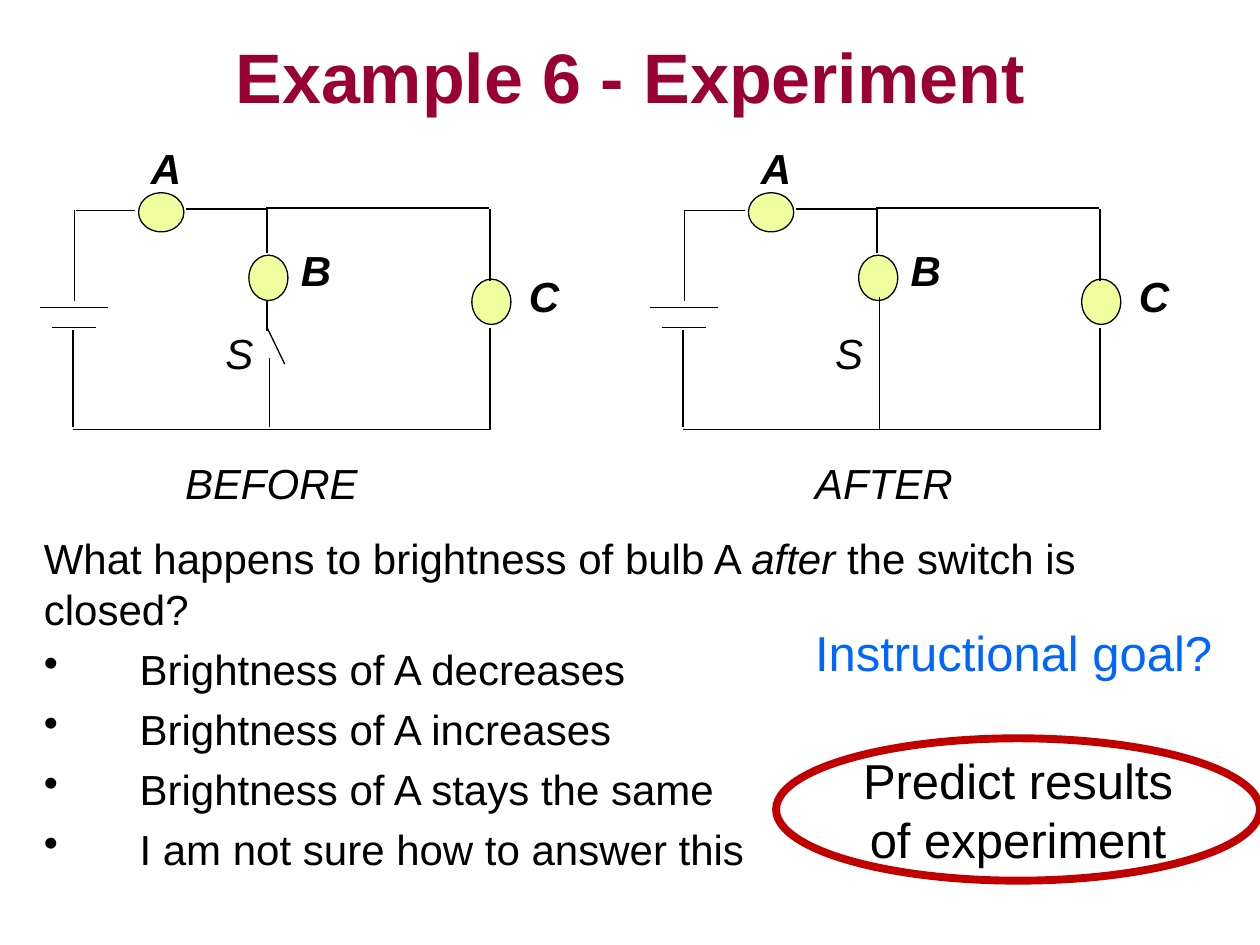
from dataclasses import dataclass

from lxml import etree
from pptx import Presentation
from pptx.dml.color import RGBColor
from pptx.enum.shapes import MSO_CONNECTOR, MSO_SHAPE
from pptx.enum.text import MSO_ANCHOR, PP_ALIGN
from pptx.oxml.ns import qn
from pptx.util import Inches, Pt

STRAIGHT = MSO_CONNECTOR.STRAIGHT
ELLIPSE = MSO_SHAPE.OVAL
TOP, MIDDLE = MSO_ANCHOR.TOP, MSO_ANCHOR.MIDDLE
LEFT, CENTER = PP_ALIGN.LEFT, PP_ALIGN.CENTER
BLACK, MAROON, BLUE, RED, YELLOW = "000000", "990033", "0066FF", "C00000", "F1FEA0"
AFTER_OFFSET = 4.84


@dataclass
class Wire:
    x1: float
    y1: float
    x2: float
    y2: float


@dataclass
class Bulb:
    x: float
    y: float
    rotation: int = 0


@dataclass
class Label:
    text: str
    x: float
    y: float
    w: float = 0.64
    bold: bool = True


SHARED_WIRES = [
    Wire(0.59, 1.67, 0.59, 2.39),
    Wire(0.58, 3.41, 3.89, 3.41),
    Wire(0.6, 1.67, 1.07, 1.67),
    Wire(1.48, 1.66, 2.12, 1.66),
    Wire(2.12, 2.01, 2.12, 1.64),
    Wire(3.89, 3.41, 3.89, 2.6),
    Wire(3.89, 2.23, 3.89, 1.66),
    Wire(2.12, 1.65, 3.88, 1.65),
    Wire(0.32, 2.44, 0.86, 2.44),
    Wire(0.41, 2.6, 0.76, 2.6),
    Wire(0.58, 2.62, 0.58, 3.39),
]
OPEN_SWITCH = [
    Wire(2.14, 3.39, 2.14, 2.84),
    Wire(2.12, 2.63, 2.12, 2.39),
    Wire(2.12, 2.6, 2.26, 2.89),
]
CLOSED_SWITCH = [Wire(2.14, 3.41, 2.14, 2.36)]
BULBS = [Bulb(1.1, 1.53), Bulb(1.95, 2.05, 270), Bulb(3.72, 2.24, 270)]
LABELS = [
    Label("A", 1.1, 1.08),
    Label("B", 2.29, 1.89),
    Label("C", 4.1, 2.1),
    Label("S", 1.69, 2.55, bold=False),
]
ANSWERS = [
    "Brightness of A decreases",
    "Brightness of A increases",
    "Brightness of A stays the same",
    "I am not sure how to answer this",
]


def rgb(color: str) -> RGBColor:
    return RGBColor.from_string(color)


def add_run(p, text: str, size: float = 24, color: str = BLACK, **formats) -> None:
    r = p.add_run()
    r.text = text
    values = {"name": "Arial", "size": Pt(size), **formats}
    for name, value in values.items():
        setattr(r.font, name, value)
    r.font.color.rgb = rgb(color)


def add_frame(s, x: float, y: float, w: float, h: float, anchor=TOP):
    tf = s.shapes.add_textbox(Inches(x), Inches(y), Inches(w), Inches(h)).text_frame
    tf.word_wrap = True
    tf.vertical_anchor = anchor
    return tf


def add_text(s, text: str, x: float, y: float, w: float, h: float = 0.5,
             align=LEFT, anchor=TOP, **formats) -> None:
    p = add_frame(s, x, y, w, h, anchor).paragraphs[0]
    p.alignment = align
    add_run(p, text, **formats)


def add_ellipse(s, x: float, y: float, w: float, h: float, line: str, weight: float):
    sp = s.shapes.add_shape(ELLIPSE, Inches(x), Inches(y), Inches(w), Inches(h))
    sp.shadow.inherit = False
    sp.line.color.rgb = rgb(line)
    sp.line.width = Pt(weight)
    return sp


def add_wire(s, wire: Wire, dx: float) -> None:
    sp = s.shapes.add_connector(STRAIGHT, Inches(wire.x1 + dx), Inches(wire.y1),
                                Inches(wire.x2 + dx), Inches(wire.y2))
    sp.line.color.rgb = rgb(BLACK)
    sp.line.width = Pt(0.75)
    etree.SubElement(sp._element.spPr, qn("a:effectLst"))


def add_bulb(s, bulb: Bulb, dx: float) -> None:
    sp = add_ellipse(s, bulb.x + dx, bulb.y, 0.36, 0.31, BLACK, 0.75)
    sp.rotation = bulb.rotation
    sp.fill.solid()
    sp.fill.fore_color.rgb = rgb(YELLOW)


def add_circuit(s, dx: float, switch: list[Wire], caption: Label) -> None:
    for bulb in BULBS:
        add_bulb(s, bulb, dx)
    for wire in SHARED_WIRES + switch:
        add_wire(s, wire, dx)
    for label in LABELS + [caption]:
        add_text(s, label.text, label.x + dx, label.y, label.w,
                 bold=label.bold, italic=True)


def add_paragraph(tf, first: bool = False, indent: float = 0.67, before: float = 5.5):
    p = tf.paragraphs[0] if first else tf.add_paragraph()
    p.space_before = Pt(before)
    pPr = p._p.get_or_add_pPr()
    pPr.set("marL", str(Inches(indent)))
    pPr.set("indent", str(-Inches(indent)))
    return p


def add_question(s) -> None:
    tf = add_frame(s, 0.25, 4.18, 9.64, 2.9)
    p = add_paragraph(tf, first=True)
    add_run(p, "What happens to brightness of bulb A ")
    add_run(p, "after ", italic=True)
    add_run(p, "the switch is")
    add_run(add_paragraph(tf, before=0), "closed?")
    for answer in ANSWERS:
        p = add_paragraph(tf, indent=0.76)
        etree.SubElement(p._p.get_or_add_pPr(), qn("a:buChar"), char="•")
        add_run(p, answer)


def add_goal(s) -> None:
    sp = add_ellipse(s, 6.16, 5.86, 3.84, 1.13, RED, 4.5)
    sp.fill.background()
    tf = sp.text_frame
    tf.word_wrap = True
    tf.vertical_anchor = MIDDLE
    p = tf.paragraphs[0]
    p.alignment = CENTER
    add_run(p, "Predict results of experiment", size=28)
    add_text(s, "Instructional goal?", 6.37, 4.89, 3.51, 0.57, size=28, color=BLUE)


def main() -> None:
    prs = Presentation()
    prs.slide_width, prs.slide_height = Inches(10), Inches(7.5)
    s = prs.slides.add_slide(prs.slide_layouts[6])
    add_text(s, "Example 6 - Experiment", 0.25, 0.25, 9.5, 0.7, CENTER, MIDDLE,
             size=40, color=MAROON, bold=True)
    add_circuit(s, 0, OPEN_SWITCH, Label("BEFORE", 1.37, 3.58, 2.62, False))
    add_circuit(s, AFTER_OFFSET, CLOSED_SWITCH, Label("AFTER", 1.53, 3.58, 2.62, False))
    add_question(s)
    add_goal(s)
    prs.save("out.pptx")


if __name__ == "__main__":
    main()
